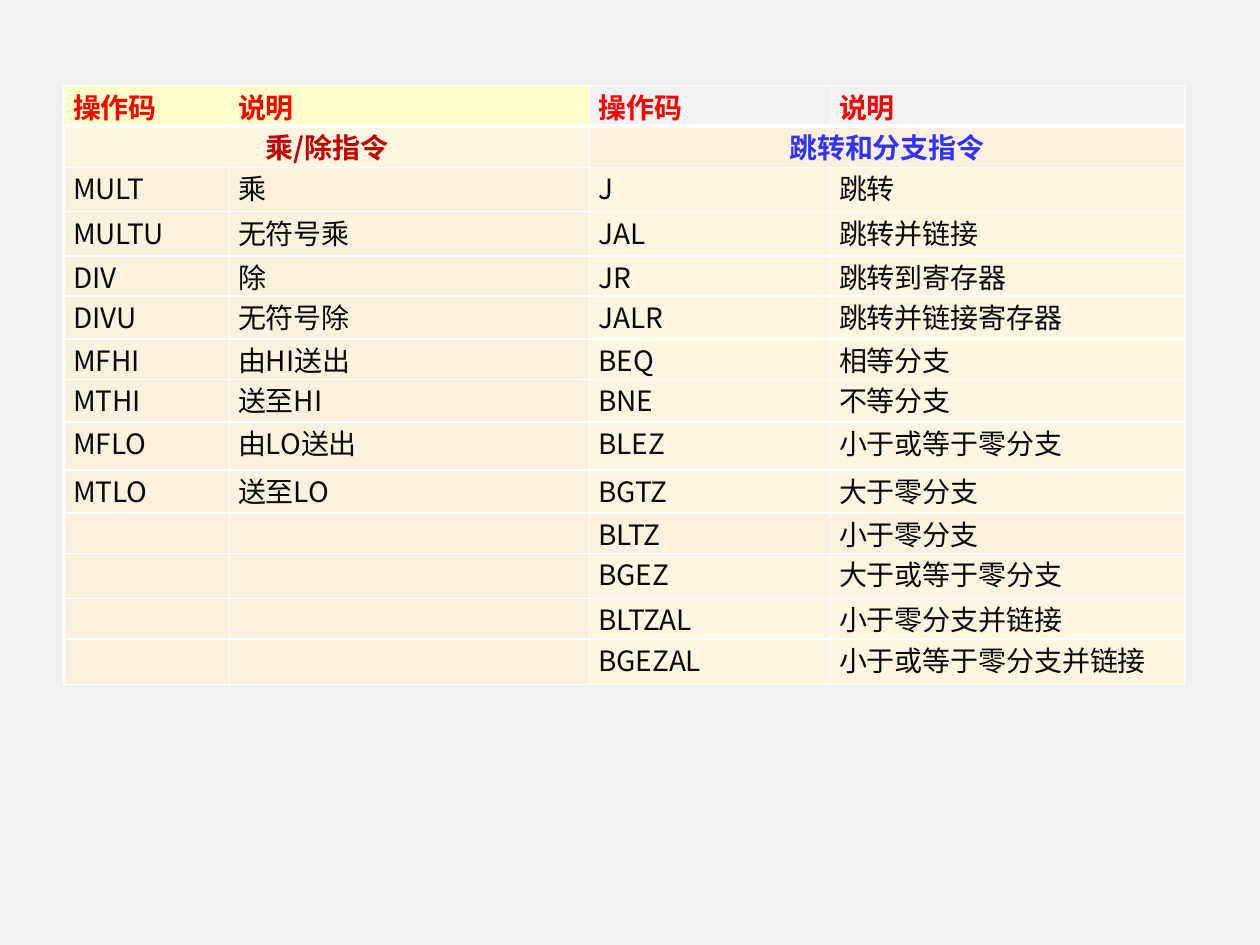
from itertools import zip_longest

from lxml import etree
from pptx import Presentation
from pptx.dml.color import RGBColor
from pptx.enum.text import PP_ALIGN
from pptx.oxml.ns import qn
from pptx.util import Inches, Pt

LEFT, CENTER = PP_ALIGN.LEFT, PP_ALIGN.CENTER
FONT = "Noto Sans CJK SC"
SIZE = 16
COLORS = {
    "page": "F2F2F2", "header": "FFFFCA", "cream": "FFF5E0", "sand": "FAF1DE",
    "red": "FF0000", "dark_red": "C00000", "blue": "3333FF", "text": "080808",
    "border": "FFFFFF",
}
COL_WIDTHS = [1.31, 2.86, 1.91, 2.81]
ROW_HEIGHTS = [0.3, 0.33, 0.35, 0.35, 0.31, 0.34, 0.32,
               0.34, 0.38, 0.34, 0.32, 0.36, 0.28, 0.36]
HEADERS = ["操作码", "说明"] * 2
HEADER_FILLS = ["header", "header", "page", "page"]
GROUPS = [(0, "乘/除指令", "dark_red", "cream"),
          (2, "跳转和分支指令", "blue", "sand")]
MULTIPLY = [
    ("MULT", "乘"), ("MULTU", "无符号乘"), ("DIV", "除"), ("DIVU", "无符号除"),
    ("MFHI", "由HI送出"), ("MTHI", "送至HI"), ("MFLO", "由LO送出"), ("MTLO", "送至LO"),
]
BRANCH = [
    ("J", "跳转"), ("JAL", "跳转并链接"), ("JR", "跳转到寄存器"),
    ("JALR", "跳转并链接寄存器"), ("BEQ", "相等分支"), ("BNE", "不等分支"),
    ("BLEZ", "小于或等于零分支"), ("BGTZ", "大于零分支"), ("BLTZ", "小于零分支"),
    ("BGEZ", "大于或等于零分支"), ("BLTZAL", "小于零分支并链接"),
    ("BGEZAL", "小于或等于零分支并链接"),
]


def rgb(name):
    return RGBColor.from_string(COLORS[name])


class SlideBuilder:
    def __init__(self, prs):
        self.s = prs.slides.add_slide(prs.slide_layouts[6])
        self.margins = {"margin_left": Inches(0.07), "margin_right": Inches(0.07),
                        "margin_top": 0, "margin_bottom": 0}

    def background(self, color):
        fill = self.s.background.fill
        fill.solid()
        fill.fore_color.rgb = rgb(color)

    def table(self, left, top, widths, heights):
        frame = self.s.shapes.add_table(
            len(heights), len(widths), Inches(left), Inches(top),
            Inches(sum(widths)), Inches(sum(heights)))
        table = frame.table
        table.first_row = table.horz_banding = False
        for col, width in zip(table.columns, widths):
            col.width = Inches(width)
        for row, height in zip(table.rows, heights):
            row.height = Inches(height)
        return table

    def border(self, cell, side, width):
        tcPr = cell._tc.get_or_add_tcPr()
        ln = etree.SubElement(tcPr, qn(f"a:ln{side}"), w=str(Pt(width)))
        fill = etree.SubElement(ln, qn("a:solidFill"))
        etree.SubElement(fill, qn("a:srgbClr"), val=COLORS["border"])

    def cell(self, cell, text, fill, color="text", bold=False, align=LEFT,
             top=1, bottom=1):
        for side, width in zip("LRTB", (1, 1, top, bottom)):
            self.border(cell, side, width)
        cell.fill.solid()
        cell.fill.fore_color.rgb = rgb(fill)
        for name, value in self.margins.items():
            setattr(cell, name, value)
        p = cell.text_frame.paragraphs[0]
        p.alignment = align
        if not text:
            p._p.get_or_add_endParaRPr().set("sz", str(SIZE * 100))
            return
        r = p.add_run()
        r.text = text
        for name, value in {"name": FONT, "size": Pt(SIZE), "bold": bold}.items():
            setattr(r.font, name, value)
        r.font.color.rgb = rgb(color)
        etree.SubElement(r._r.get_or_add_rPr(), qn("a:ea"), typeface=FONT)


def main():
    prs = Presentation()
    prs.slide_width, prs.slide_height = Inches(10), Inches(7.5)
    slide = SlideBuilder(prs)
    slide.background("page")
    table = slide.table(0.51, 0.68, COL_WIDTHS, ROW_HEIGHTS)

    for col, (text, fill) in enumerate(zip(HEADERS, HEADER_FILLS)):
        slide.cell(table.cell(0, col), text, fill, "red", True, bottom=3)

    for col, text, color, fill in GROUPS:
        first, second = table.cell(1, col), table.cell(1, col + 1)
        first.merge(second)
        slide.cell(first, text, fill, color, True, CENTER, top=3)
        slide.cell(second, "", fill, top=3)

    pairs = zip_longest(MULTIPLY, BRANCH, fillvalue=("", ""))
    for row, (multiply, branch) in enumerate(pairs, start=2):
        branch_fill = "sand" if branch[0] == "BLTZ" else "cream"
        fills = ["sand"] * 2 + [branch_fill] * 2
        for col, (text, fill) in enumerate(zip(multiply + branch, fills)):
            slide.cell(table.cell(row, col), text, fill)

    prs.save("out.pptx")


if __name__ == "__main__":
    main()
